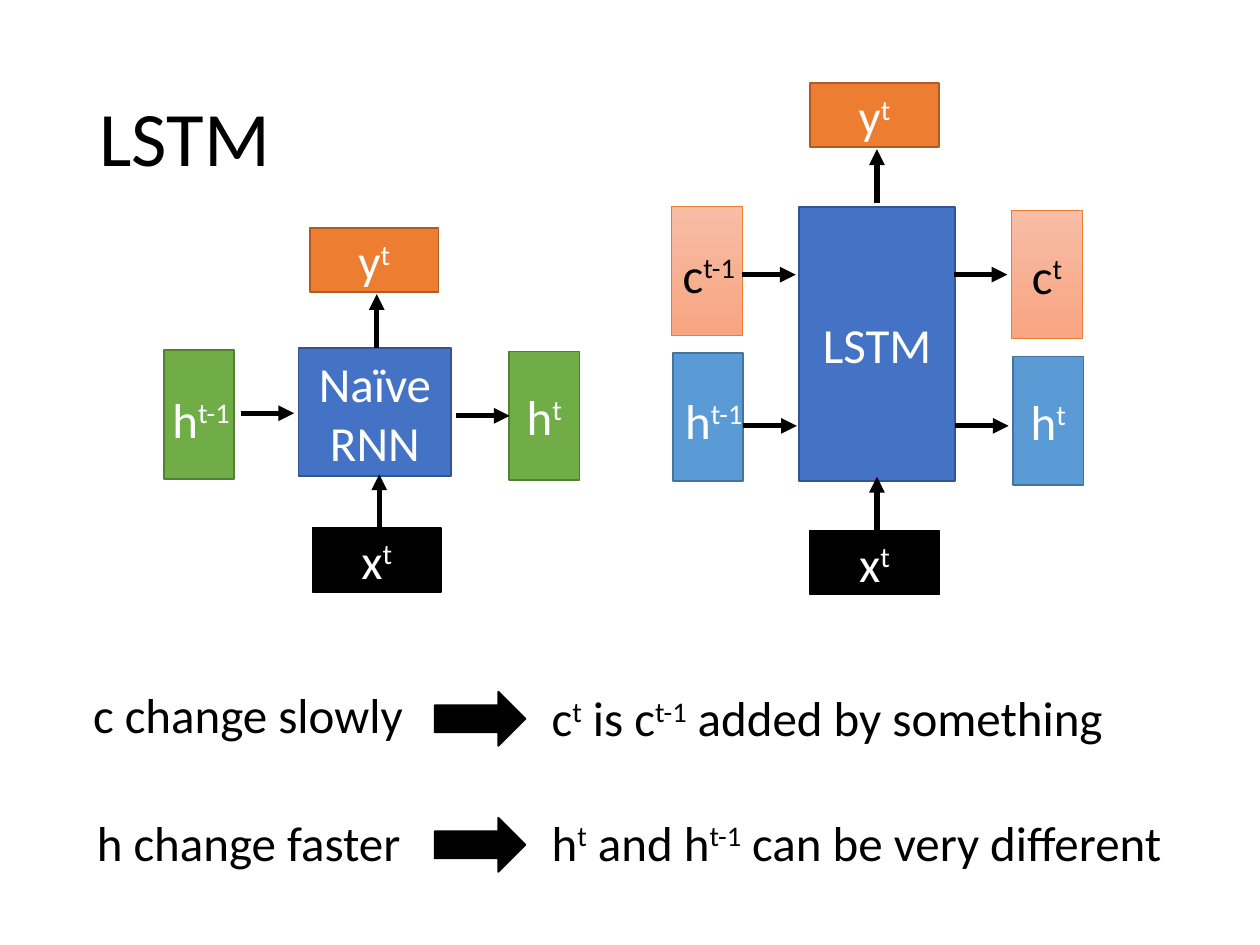
from dataclasses import dataclass
from typing import NamedTuple, Optional

from lxml.etree import SubElement
from pptx import Presentation
from pptx.dml.color import RGBColor
from pptx.enum.shapes import MSO_CONNECTOR, MSO_SHAPE
from pptx.enum.text import MSO_ANCHOR, PP_ALIGN
from pptx.oxml.ns import qn
from pptx.util import Inches, Pt


class Paint(NamedTuple):
    fill: str
    line: str
    ink: str = "FFFFFF"
    fill_end: Optional[str] = None
    line_width: float = 1


@dataclass(frozen=True)
class Theme:
    font: str = "Calibri"
    title_size: int = 44
    body_size: int = 28
    arrow_width: int = 3
    ink: str = "000000"
    light: str = "FFFFFF"
    output: Paint = Paint("ED7D31", "AF5C24")
    input: Paint = Paint("000000", "000000")
    cell: Paint = Paint("4472C4", "325491")
    naive_state: Paint = Paint("70AD47", "538035")
    hidden_state: Paint = Paint("5B9BD5", "43739E")
    memory_state: Paint = Paint("F7BDA5", "ED7D31", "000000", "F8A582", 0.5)


class Area(NamedTuple):
    column: float
    row: float
    columns: float
    rows: float


class Box(NamedTuple):
    text: str
    area: Area
    paint: Paint
    shape: MSO_SHAPE = MSO_SHAPE.RECTANGLE


class Label(NamedTuple):
    text: str
    area: Area
    ink: str
    size: int
    centred: bool = False
    middle: bool = False
    line_spacing: Optional[float] = None


class Arrow(NamedTuple):
    column: float
    row: float
    across: float = 0
    up: float = 0


THEME = Theme()
COLUMNS, ROWS = 100, 75
SLIDE_WIDTH, SLIDE_HEIGHT = Inches(10), Inches(7.5)
ARROW_LENGTH = 4.25
LABEL_HEIGHT = 5.7


def across(columns: float) -> int:
    return round(SLIDE_WIDTH * columns / COLUMNS)


def down(rows: float) -> int:
    return round(SLIDE_HEIGHT * rows / ROWS)


def place(area: Area) -> tuple[int, int, int, int]:
    return across(area.column), down(area.row), across(area.columns), down(area.rows)


def wide(text: str, column: float, row: float, paint: Paint) -> Box:
    return Box(text, Area(column, row, 10.2, 5.1), paint)


def tall(text: str, column: float, row: float, paint: Paint) -> Box:
    return Box(text, Area(column, row, 5.6, 10.2), paint)


def block_arrow(row: float) -> Box:
    return Box("", Area(34.5, row, 7.2, 4.3), THEME.input, MSO_SHAPE.RIGHT_ARROW)


def state_label(text: str, column: float, row: float, ink: str, columns: float = 7.1) -> Label:
    return Label(text, Area(column, row, columns, LABEL_HEIGHT), ink, THEME.body_size, centred=True)


def statement(text: str, column: float, row: float, columns: float) -> Label:
    return Label(text, Area(column, row, columns, LABEL_HEIGHT), THEME.ink, THEME.body_size)


def rightward(column: float, row: float) -> Arrow:
    return Arrow(column, row, across=ARROW_LENGTH)


def upward(column: float, row: float) -> Arrow:
    return Arrow(column, row, up=ARROW_LENGTH)


BOXES = [
    block_arrow(54.9),
    block_arrow(64.9),
    tall("", 13, 27.8, THEME.naive_state),
    Box("Naïve\nRNN", Area(23.7, 27.6, 12.1, 10.2), THEME.cell),
    tall("h^t", 40.4, 27.9, THEME.naive_state),
    wide("y^t", 24.6, 18.1, THEME.output),
    wide("x^t", 24.8, 41.9, THEME.input),
    Box("LSTM", Area(63.4, 16.4, 12.4, 21.8), THEME.cell),
    wide("y^t", 64.3, 6.6, THEME.output),
    wide("x^t", 64.3, 42.1, THEME.input),
    tall("", 53.3, 16.4, THEME.memory_state),
    tall("", 53.4, 28, THEME.hidden_state),
    tall("c^t", 80.3, 16.7, THEME.memory_state),
    tall("h^t", 80.4, 28.3, THEME.hidden_state),
]
ARROWS = [
    rightward(19.1, 32.8),
    rightward(36.2, 33),
    upward(29.9, 27.6),
    upward(30.1, 41.9),
    rightward(58.9, 21.8),
    rightward(59, 33.8),
    rightward(75.7, 21.8),
    rightward(75.8, 33.8),
    upward(69.6, 16.1),
    upward(69.6, 42.1),
]
LABELS = [
    Label("LSTM", Area(6.9, 4, 86.2, 14.5), THEME.ink, THEME.title_size, middle=True, line_spacing=0.9),
    state_label("h^t-1", 12.4, 30.4, THEME.light),
    state_label("h^t-1", 53.1, 30.5, THEME.light),
    state_label("c^t-1", 52.9, 18.9, THEME.ink, 6.7),
    statement("c change slowly", 6.4, 53.8, 28.6),
    statement("h change faster", 6.7, 64, 28.6),
    statement("c^t^ is c^t-1^ added by something", 42.8, 54.1, 49.1),
    statement("h^t^ and h^t-1^ can be very different", 42.8, 64, 54.5),
]


def write(frame, text: str, size: int, ink: str, align: PP_ALIGN, line_spacing: Optional[float] = None) -> None:
    for index, line in enumerate(text.split("\n")):
        para = frame.add_paragraph() if index else frame.paragraphs[0]
        para.alignment = align
        para.line_spacing = line_spacing
        para.font.name = THEME.font
        para.font.size = Pt(size)
        para.font.color.rgb = RGBColor.from_string(ink)
        for position, piece in enumerate(line.split("^")):
            if piece:
                span = para.add_run()
                span.text = piece
                if position % 2:
                    span.font._element.set("baseline", "30000")


def draw_box(page, box: Box) -> None:
    shape = page.shapes.add_shape(box.shape, *place(box.area))
    shape.shadow.inherit = False
    paint = box.paint
    if paint.fill_end:
        shape.fill.gradient()
        shape.fill.gradient_angle = 270
        for stop, color in zip(shape.fill.gradient_stops, (paint.fill, paint.fill_end)):
            stop.color.rgb = RGBColor.from_string(color)
    else:
        shape.fill.solid()
        shape.fill.fore_color.rgb = RGBColor.from_string(paint.fill)
    shape.line.color.rgb = RGBColor.from_string(paint.line)
    shape.line.width = Pt(paint.line_width)
    if box.text:
        shape.text_frame.vertical_anchor = MSO_ANCHOR.MIDDLE
        write(shape.text_frame, box.text, THEME.body_size, paint.ink, PP_ALIGN.CENTER)


def draw_arrow(page, arrow: Arrow) -> None:
    line = page.shapes.add_connector(
        MSO_CONNECTOR.STRAIGHT,
        across(arrow.column), down(arrow.row),
        across(arrow.column + arrow.across), down(arrow.row - arrow.up),
    )
    line.line.color.rgb = RGBColor.from_string(THEME.ink)
    line.line.width = Pt(THEME.arrow_width)
    SubElement(line.line._get_or_add_ln(), qn("a:tailEnd"), type="triangle")
    SubElement(line._element.spPr, qn("a:effectLst"))


def draw_label(page, label: Label) -> None:
    frame = page.shapes.add_textbox(*place(label.area)).text_frame
    frame.word_wrap = not label.centred
    frame.vertical_anchor = MSO_ANCHOR.MIDDLE if label.middle else MSO_ANCHOR.TOP
    align = PP_ALIGN.CENTER if label.centred else PP_ALIGN.LEFT
    write(frame, label.text, label.size, label.ink, align, label.line_spacing)


def main() -> None:
    deck = Presentation()
    deck.slide_width, deck.slide_height = SLIDE_WIDTH, SLIDE_HEIGHT
    page = deck.slides.add_slide(deck.slide_layouts[6])
    for draw, items in ((draw_box, BOXES), (draw_arrow, ARROWS), (draw_label, LABELS)):
        for item in items:
            draw(page, item)
    deck.save("out.pptx")


if __name__ == "__main__":
    main()
